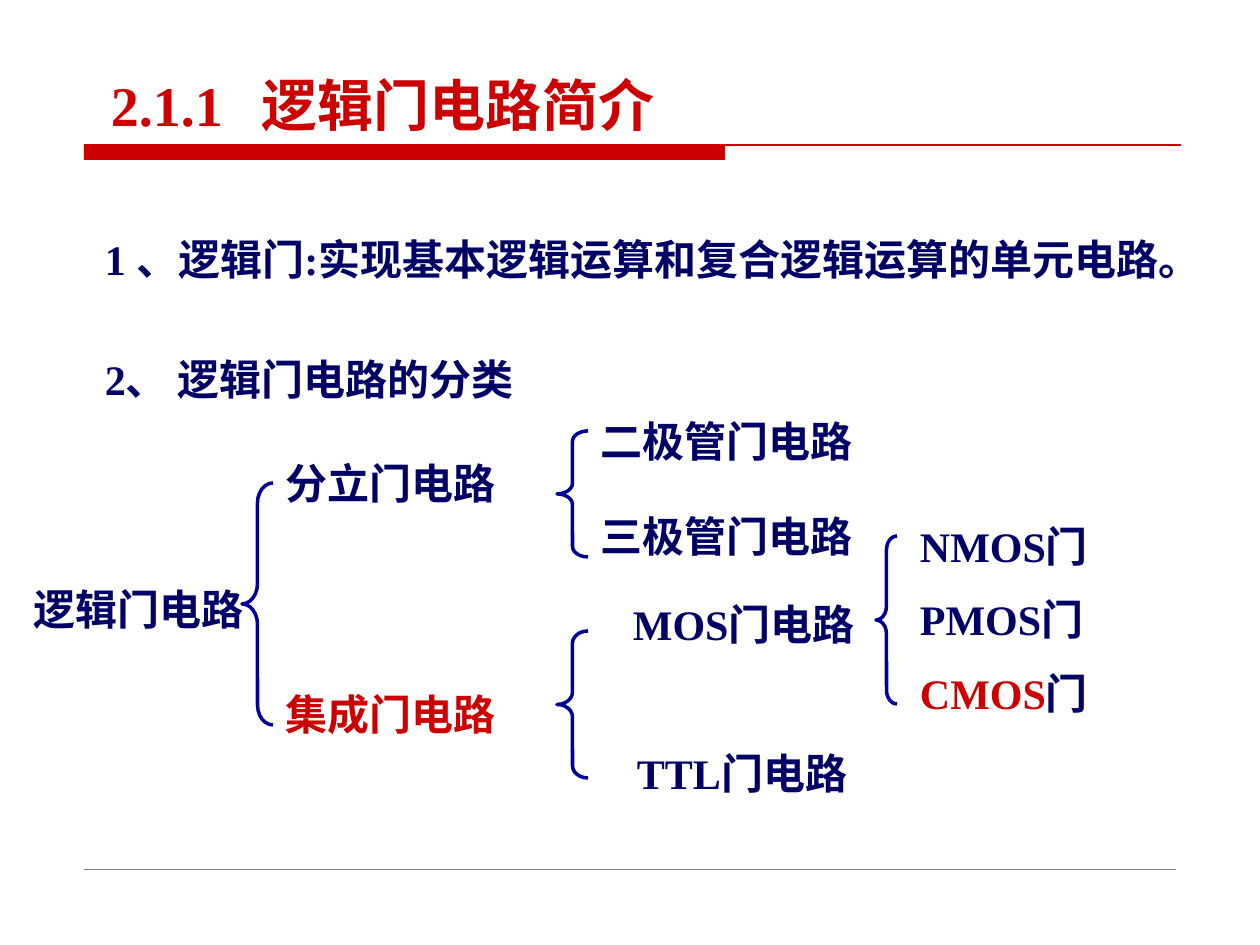
from lxml.etree import SubElement
from pptx import Presentation
from pptx.dml.color import RGBColor
from pptx.enum.shapes import MSO_CONNECTOR, MSO_SHAPE
from pptx.enum.text import MSO_ANCHOR, MSO_AUTO_SIZE
from pptx.oxml.ns import qn
from pptx.util import Emu, Pt

PX_PER_INCH = 126
COLORS = {"red": "CC0000", "navy": "000066", "blue": "000099", "gray": "808080"}
LATIN, CJK = "Times New Roman", "Noto Sans CJK SC"


def px(n):
    return Emu(round(n * 914400 / PX_PER_INCH))


def color(name):
    return RGBColor.from_string(COLORS[name])


class SlideWriter:
    def __init__(self, slide, size=24, ink="navy"):
        self.shapes = slide.shapes
        self.size = size
        self.ink = ink

    def text(self, x, y, w, h, *parts, size=None, inset=(13, 6), spacing=None,
             before=None, anchor=MSO_ANCHOR.TOP, tab=None):
        """Add one paragraph; each part is a string or a (string, color) pair."""
        tf = self.shapes.add_textbox(px(x), px(y), px(w), px(h)).text_frame
        tf.word_wrap = True
        tf.auto_size = MSO_AUTO_SIZE.SHAPE_TO_FIT_TEXT
        tf.vertical_anchor = anchor
        tf.margin_left = tf.margin_right = px(inset[0])
        tf.margin_top = tf.margin_bottom = px(inset[1])
        p = tf.paragraphs[0]
        p.line_spacing = spacing
        if before:
            p.space_before = Pt(before)
        if tab:
            tabs = SubElement(p._p.get_or_add_pPr(), qn("a:tabLst"))
            SubElement(tabs, qn("a:tab"), pos=str(px(tab)), algn="l")
        for part in parts:
            words, ink = (part, self.ink) if isinstance(part, str) else part
            r = p.add_run()
            r.text = words
            r.font.size = Pt(size or self.size)
            r.font.bold = True
            r.font.color.rgb = color(ink)
            r.font.name = LATIN
            SubElement(r._r.get_or_add_rPr(), qn("a:ea"), typeface=CJK)

    def statement(self, y, w, *parts):
        self.text(105, y, w, 50, *parts, inset=(0, 0), before=15,
                  anchor=MSO_ANCHOR.MIDDLE)

    def label(self, x, y, w, *parts):
        self.text(x, y, w, 73, *parts, spacing=1.2)

    def bar(self, x, y, w, h, fill):
        sp = self.shapes.add_shape(MSO_SHAPE.RECTANGLE, px(x), px(y), px(w), px(h))
        sp.shadow.inherit = False
        sp.fill.solid()
        sp.fill.fore_color.rgb = color(fill)
        sp.line.fill.background()

    def rule(self, x1, x2, y, ink, width):
        line = self.shapes.add_connector(MSO_CONNECTOR.STRAIGHT,
                                         px(x1), px(y), px(x2), px(y))
        line.line.color.rgb = color(ink)
        line.line.width = Pt(width)
        SubElement(line._element.spPr, qn("a:effectLst"))

    def brace(self, x, y, w, h):
        sp = self.shapes.add_shape(MSO_SHAPE.LEFT_BRACE, px(x), px(y), px(w), px(h))
        sp.shadow.inherit = False
        sp.fill.background()
        sp.line.color.rgb = color("blue")
        sp.line.width = Pt(2)
        sp.adjustments[0] = h / w / 12  # curl height is a twelfth of the brace


def main():
    prs = Presentation()
    prs.slide_width, prs.slide_height = px(1260), px(945)
    s = SlideWriter(prs.slides.add_slide(prs.slide_layouts[6]))

    s.bar(84, 145, 641, 15, "red")
    s.rule(84, 1181, 145, "red", 0.75)
    s.rule(84, 1176, 869, "gray", 0.25)
    s.text(108, 69, 580, 71, ("2.1.1\t", "red"), ("逻辑门电路简介", "red"),
           size=32, inset=(3, 1), tab=151)

    s.statement(234, 1121, "1 、", "逻辑门:实现基本逻辑运算和复合逻辑运算的单元电路。")
    s.statement(354, 630, "2、", " 逻辑门电路的分类")

    s.label(21, 567, 242, "逻辑门电路")
    s.label(273, 441, 273, "分立门电路")
    s.label(273, 672, 281, ("集成门电路", "red"))
    s.label(588, 399, 346, "二极管门电路")
    s.label(588, 494, 336, "三极管门电路")
    s.label(620, 582, 315, "MOS", "门电路")
    s.label(624, 731, 294, "TTL", "门电路")
    for i, (kind, ink) in enumerate((("NMOS", "navy"), ("PMOS", "navy"),
                                     ("CMOS", "red"))):
        s.label(907, 504 + 147 * i // 2, 242, (kind, ink), "门")

    for box in ((242, 483, 31, 242), (557, 431, 31, 126),
                (557, 631, 31, 147), (876, 536, 21, 168)):
        s.brace(*box)

    prs.save("out.pptx")


if __name__ == "__main__":
    main()
